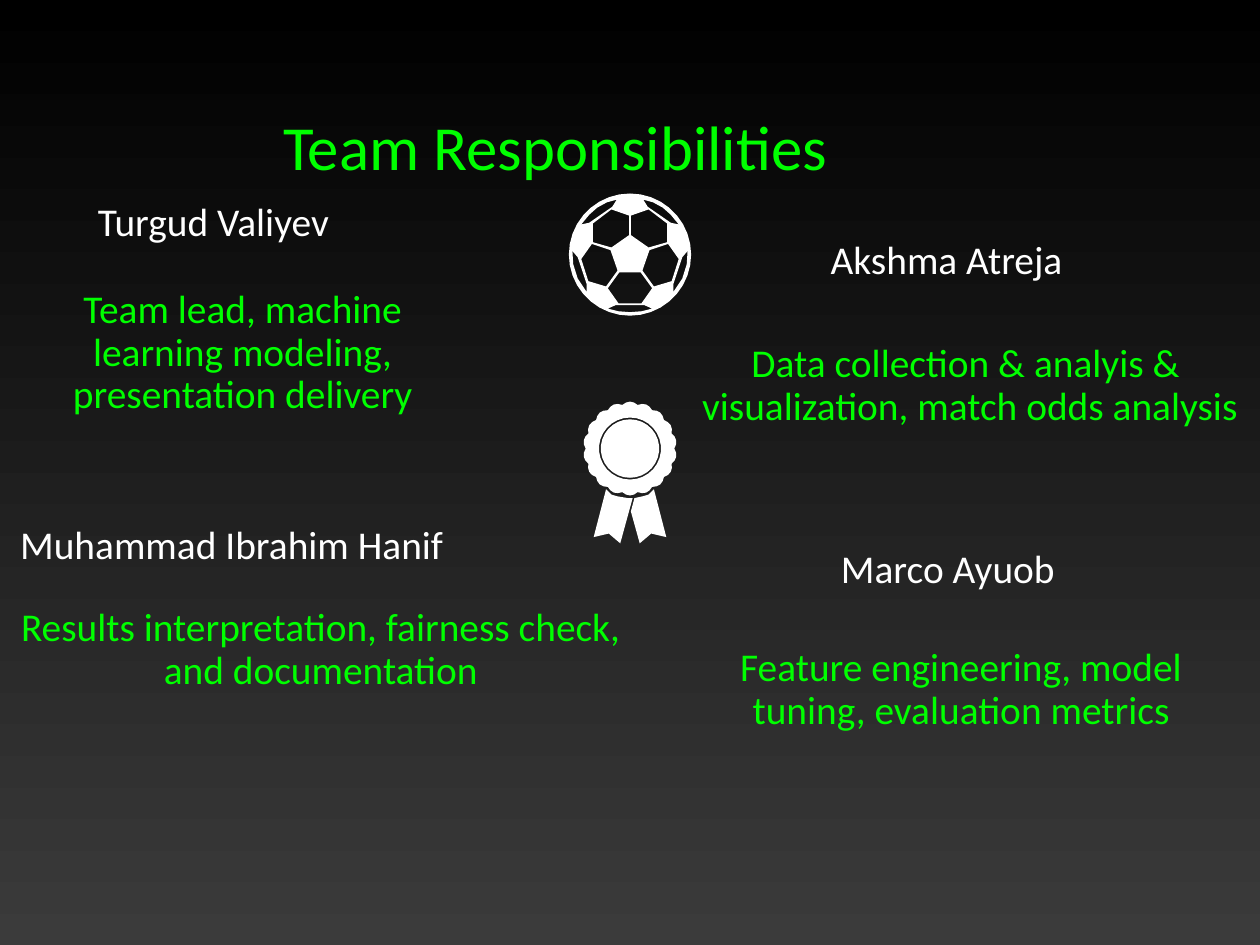
import math
import pptx
import pptx.dml.color
import pptx.enum.text
import pptx.util

RGBColor = pptx.dml.color.RGBColor
GREEN = RGBColor(0x00, 0xFF, 0x00)
WHITE = RGBColor(0xFF, 0xFF, 0xFF)
BLACK = RGBColor(0x00, 0x00, 0x00)
GRAY = RGBColor(0x3B, 0x3B, 0x3B)
LEFT = pptx.enum.text.PP_ALIGN.LEFT
CENTER = pptx.enum.text.PP_ALIGN.CENTER
WIDTH, HEIGHT = pptx.util.Inches(14.22), pptx.util.Inches(10.67)

# Content: areas are left, top, width, height in percent of the slide
TITLE = ("Team Responsibilities", (22.04, 11.2, 50.98, 9.37))
NAME, DUTY = (WHITE, LEFT), (GREEN, CENTER)
TEAM = [
    ((7.34, 20.43, 22.29, 6.47), [("Turgud Valiyev", NAME)]),
    ((1.76, 24.7, 35.02, 25.4),
     [("Team lead, machine learning modeling, presentation delivery", DUTY)]),
    ((65.5, 23.15, 21.87, 9), [("Akshma Atreja", NAME)]),
    ((55.06, 32.15, 43.88, 17.43),
     [("Data collection & analyis &  visualization, match odds analysis", DUTY)]),
    ((66.32, 56.42, 20.18, 8.06), [("Marco Ayuob", NAME)]),
    ((54.43, 64.76, 43.74, 16.59),
     [("Feature engineering, model tuning, evaluation metrics", DUTY)]),
    ((1.18, 52.48, 48.59, 23.99),
     [("Muhammad Ibrahim Hanif", NAME),
      ("Results interpretation, fairness check, and documentation", DUTY)]),
]

# Icon outlines: inches from the icon's centre
BALL_CENTER, ROSETTE_CENTER = (50, 26.94), (50, 47.47)
BALL_SIDE_PANELS = [
    [(-0.15, -0.62), (-0.2, -0.54), (-0.46, -0.36), (-0.55, -0.34),
     (-0.46, -0.45), (-0.37, -0.53), (-0.26, -0.59)],
    [(-0.21, -0.51), (-0.01, -0.44), (-0.01, -0.22), (-0.21, -0.08),
     (-0.42, -0.14), (-0.42, -0.35)],
    [(-0.43, -0.12), (-0.22, -0.05), (-0.14, 0.18), (-0.27, 0.36),
     (-0.47, 0.3), (-0.55, 0.05)],
    [(-0.65, -0.04), (-0.59, 0.03), (-0.49, 0.33), (-0.49, 0.42),
     (-0.59, 0.27), (-0.64, 0.11)],
]
BALL_LOWER_PANELS = [
    [(-0.12, 0.2), (0.12, 0.2), (0.25, 0.38), (0.13, 0.55), (-0.13, 0.55), (-0.25, 0.38)],
    [(-0.16, 0.57), (0.16, 0.57), (0.25, 0.61), (0.13, 0.64), (0, 0.65),
     (-0.13, 0.64), (-0.25, 0.61)],
]
RIBBON_TAILS = [
    [(-0.27, 0.46), (-0.41, 1), (-0.24, 0.96), (-0.11, 1.07), (0.03, 0.56),
     (-0.02, 0.56), (-0.14, 0.54), (-0.21, 0.52)],
    [(0.27, 0.46), (0.41, 1), (0.24, 0.96), (0.11, 1.07), (0.01, 0.71),
     (0.05, 0.56), (0.14, 0.54), (0.21, 0.52)],
]


def place(area):
    left, top, width, height = area
    return [round(share * side / 100) for share, side in
            ((left, WIDTH), (top, HEIGHT), (width, WIDTH), (height, HEIGHT))]


def write(box, lines, size):
    frame = box.text_frame
    frame.word_wrap = True
    frame.auto_size = pptx.enum.text.MSO_AUTO_SIZE.NONE
    frame.vertical_anchor = pptx.enum.text.MSO_ANCHOR.MIDDLE
    frame.margin_left = frame.margin_right = pptx.util.Inches(0.06)
    frame.margin_top = frame.margin_bottom = pptx.util.Inches(0.06)
    frame.text = "\n".join(text for text, style in lines)
    for index, (para, (text, (color, align))) in enumerate(zip(frame.paragraphs, lines)):
        para.alignment = align
        para.line_spacing = 0.9
        para.space_before = pptx.util.Pt(32 if index else 0)
        font = para.runs[0].font
        font.name, font.size, font.color.rgb = "Calibri", pptx.util.Pt(size), color


def ring(radius, step, ripple=0):
    """Closed circle, with 18 scallops of the given depth, starting at the top."""
    points = []
    for degree in range(0, 360, step):
        angle = math.radians(degree)
        reach = radius + ripple * abs(math.cos(9 * angle))
        points.append((reach * math.sin(angle), -reach * math.cos(angle)))
    return points


def draw_icon(page, center, outlines):
    middle_x, middle_y = place(center + (0, 0))[:2]
    paths = [[(middle_x + pptx.util.Inches(x), middle_y + pptx.util.Inches(y))
              for x, y in outline] for outline in outlines]
    builder = page.shapes.build_freeform(*paths[0][0])
    for index, path in enumerate(paths):
        if index:
            builder.move_to(*path[0])
        builder.add_line_segments(path[1:], close=True)
    icon = builder.convert_to_shape()
    icon.shadow.inherit = False
    icon.fill.solid()
    icon.fill.fore_color.rgb = WHITE
    icon.line.fill.background()


def main():
    deck = pptx.Presentation()
    deck.slide_width, deck.slide_height = WIDTH, HEIGHT
    page = deck.slides.add_slide(deck.slide_layouts[5])

    # Background, dark at the top
    backdrop = page.background.fill
    backdrop.gradient()
    backdrop.gradient_angle = 270
    for stop, color in zip(backdrop.gradient_stops, (BLACK, GRAY)):
        stop.color.rgb = color

    # Title
    text, area = TITLE
    title = page.shapes.title
    title.left, title.top, title.width, title.height = place(area)
    write(title, [(text, (GREEN, LEFT))], 51)

    # Team members and their duties
    for area, lines in TEAM:
        write(page.shapes.add_textbox(*place(area)), lines, 32)

    # Football: left panels are mirrored to the right
    mirrored = [[(-x, y) for x, y in panel] for panel in BALL_SIDE_PANELS]
    draw_icon(page, BALL_CENTER,
              [ring(0.69, 10)] + BALL_SIDE_PANELS + mirrored + BALL_LOWER_PANELS)

    # Rosette with ribbon tails
    draw_icon(page, ROSETTE_CENTER,
              [ring(0.5, 5, 0.03), ring(0.35, 12), ring(0.33, 12)] + RIBBON_TAILS)

    deck.save("out.pptx")


if __name__ == "__main__":
    main()
